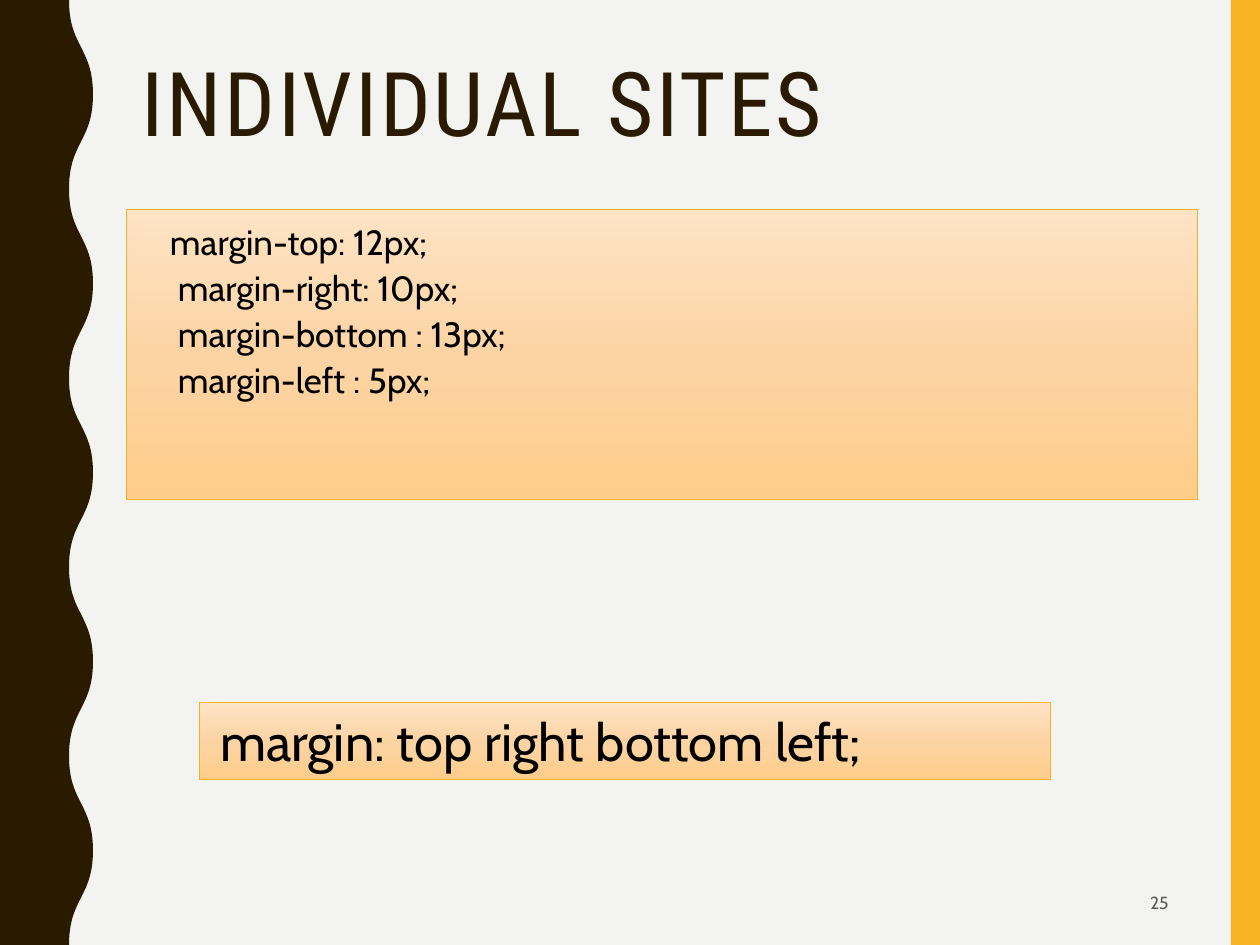
from lxml import etree
from pptx import Presentation
from pptx.dml.color import RGBColor
from pptx.enum.shapes import MSO_SHAPE
from pptx.enum.text import MSO_ANCHOR, PP_ALIGN
from pptx.oxml import parse_xml
from pptx.oxml.ns import qn
from pptx.util import Inches, Pt

RECTANGLE = MSO_SHAPE.RECTANGLE
TOP, MIDDLE = MSO_ANCHOR.TOP, MSO_ANCHOR.MIDDLE
LEFT, RIGHT = PP_ALIGN.LEFT, PP_ALIGN.RIGHT

PX = 914400 // 126
HEIGHT = 945
PAPER = RGBColor(0xF3, 0xF3, 0xF2)
BROWN = RGBColor(0x2A, 0x1A, 0x00)
AMBER = RGBColor(0xF8, 0xB3, 0x23)
BLACK = RGBColor(0, 0, 0)
GREY = RGBColor(0x59, 0x59, 0x59)
PANEL_STOPS = [(0, "FEE3C5"), (50, "FCD4A4"), (100, "FFCD8B")]
DRAWING_NS = "http://schemas.openxmlformats.org/drawingml/2006/main"


def write(shape, text, size, color, font="Cabin", anchor=TOP, align=LEFT, spacing=1.0, inset=13):
    frame = shape.text_frame
    frame.word_wrap = True
    frame.vertical_anchor = anchor
    frame.margin_left = inset * PX
    frame.text = text
    paragraph = frame.paragraphs[0]
    paragraph.alignment = align
    paragraph.line_spacing = spacing
    for run in paragraph.runs:
        run.font.size = Pt(size)
        run.font.name = font
        run.font.color.rgb = color


def add_panel(left, top, width, height):
    panel = slide.shapes.add_shape(RECTANGLE, left * PX, top * PX, width * PX, height * PX)
    panel.shadow.inherit = False
    panel.line.color.rgb = AMBER
    panel.line.width = Pt(0.5)
    gradient = parse_xml(f'<a:gradFill xmlns:a="{DRAWING_NS}" rotWithShape="1"/>')
    stops = etree.SubElement(gradient, qn("a:gsLst"))
    for percent, color in PANEL_STOPS:
        stop = etree.SubElement(stops, qn("a:gs"), pos=str(percent * 1000))
        etree.SubElement(stop, qn("a:srgbClr"), val=color)
    etree.SubElement(gradient, qn("a:lin"), ang="5400000", scaled="0")
    panel._element.spPr.find(qn("a:prstGeom")).addnext(gradient)
    return panel


prs = Presentation()
prs.slide_width, prs.slide_height = Inches(10), Inches(7.5)
slide = prs.slides.add_slide(prs.slide_layouts[6])
slide.background.fill.solid()
slide.background.fill.fore_color.rgb = PAPER

side_bar = slide.shapes.add_shape(RECTANGLE, 1231 * PX, 0, 29 * PX, HEIGHT * PX)

EDGES = [69, 93]
HALF_WAVES = 10
turns = [(EDGES[i % 2] * PX, HEIGHT * PX * i // HALF_WAVES) for i in range(HALF_WAVES + 1)]
outline = slide.shapes.build_freeform(*turns[0])
outline.add_line_segments(turns[1:] + [(0, HEIGHT * PX), (0, 0)], close=True)
wavy_edge = outline.convert_to_shape()
segments = list(wavy_edge._element.iter(qn("a:lnTo")))
for segment, (x1, y1), (x2, y2) in zip(segments, turns, turns[1:]):
    middle = (y1 + y2) // 2
    curve = etree.Element(qn("a:cubicBezTo"))
    for x, y in [(x1, middle), (x2, middle), (x2, y2)]:
        etree.SubElement(curve, qn("a:pt"), x=str(x), y=str(y))
    segment.getparent().replace(segment, curve)

for decoration, color in [(side_bar, AMBER), (wavy_edge, BROWN)]:
    decoration.shadow.inherit = False
    decoration.fill.solid()
    decoration.fill.fore_color.rgb = color
    decoration.line.fill.background()

title = slide.shapes.add_textbox(129 * PX, 53 * PX, 1052 * PX, 205 * PX)
write(title, "INDIVIDUAL SITES", 51, BROWN, font="Roboto Condensed", spacing=0.9)
title.text_frame.paragraphs[0].runs[0].font._element.set("spc", "150")

sides = add_panel(126, 210, 1072, 290)
declarations = ["margin-top: 12px;", "margin-right: 10px;", "margin-bottom : 13px;", "margin-left : 5px;"]
write(sides, "\v ".join(declarations), 20, BLACK, spacing=1.1, inset=44)

shorthand = add_panel(199, 703, 851, 77)
write(shorthand, "margin: top right bottom left;", 30, BLACK, inset=21)

page_number = slide.shapes.add_textbox(890 * PX, 879 * PX, 291 * PX, 48 * PX)
write(page_number, "25", 10, GREY, anchor=MIDDLE, align=RIGHT)

prs.save("out.pptx")
